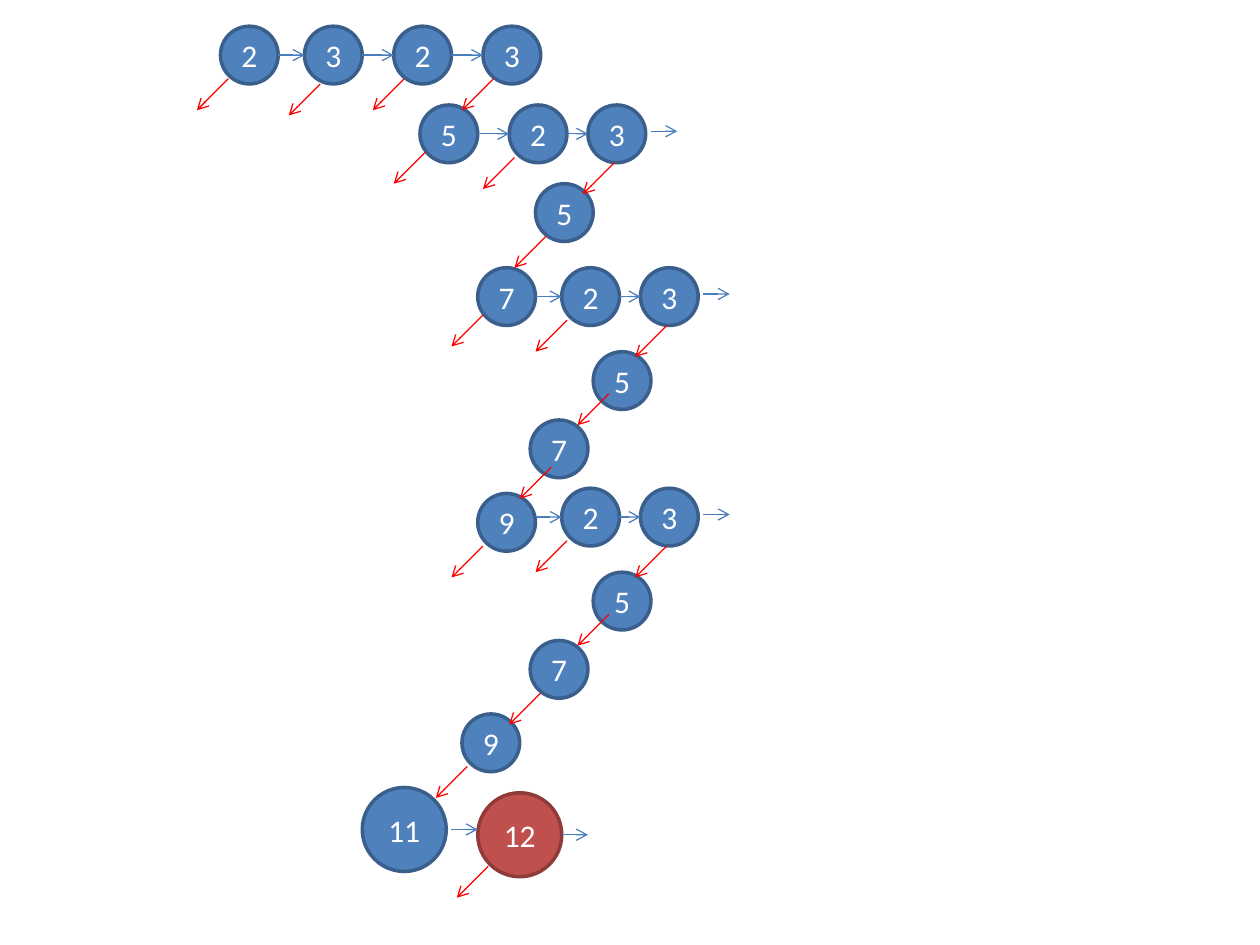
import pptx
import pptx.util
import pptx.dml.color
import pptx.enum.shapes
import pptx.enum.text
import pptx.oxml.ns
import lxml.etree

RGB = pptx.dml.color.RGBColor
BLUE = RGB(0x4F, 0x81, 0xBD)
NAVY = RGB(0x3A, 0x5F, 0x8C)
SKY = RGB(0x4B, 0x7E, 0xBC)
BRICK = RGB(0xC0, 0x50, 0x4D)
WINE = RGB(0x8E, 0x3B, 0x39)
RED = RGB(0xFF, 0, 0)
WHITE = RGB(0xFF, 0xFF, 0xFF)

COLS, ROWS = 240, 180
SMALL, LARGE = 11, 16
DROP = 6   # columns left and rows down of each red arrow
STUB = 5   # columns of an arrow that leads to no node

# Each chain: its nodes as (label, column, row, start of the red arrow
# from the node's corner), and whether an open arrow ends the chain.
CHAINS = [
    ([("2", 42, 5, (1.5, 10)), ("3", 58, 5, (3, 11)),
      ("2", 75, 5, (2, 10)), ("3", 92, 5, (2, 10))], False),
    ([("5", 80, 20, (1, 9)), ("2", 97, 20, (1, 10)),
      ("3", 112, 20, (5, 11))], True),
    ([("5", 102, 35, (2, 10))], False),
    ([("7", 91, 51, (1, 9)), ("2", 107, 51, (1, 10)),
      ("3", 122, 51, (5, 11))], True),
    ([("5", 113, 67, (3, 8))], False),
    ([("7", 101, 80, (4, 9))], False),
    ([("9", 91, 94, (1, 10)), ("2", 107, 93, (1, 10)),
      ("3", 122, 93, (5, 11))], True),
    ([("5", 113, 109, (3, 8))], False),
    ([("7", 101, 122, (2, 10))], False),
    ([("9", 88, 136, (1, 10))], False),
]


class Tree:
    """Holds the style and the current slide."""

    font, size = "Calibri", pptx.util.Pt(18)
    edge, thin = pptx.util.Pt(2), pptx.util.Pt(0.75)

    def __init__(self, deck):
        """Add a blank slide and measure its grid."""
        self.slide = deck.slides.add_slide(deck.slide_layouts[6])
        self.wide = deck.slide_width / COLS
        self.high = deck.slide_height / ROWS

    def place(self, col, row):
        """Turn a column and a row into slide lengths."""
        return round(col * self.wide), round(row * self.high)

    def node(self, label, col, row, size=SMALL, fill=BLUE, rim=NAVY):
        """Draw a labelled circle."""
        oval = self.slide.shapes.add_shape(
            pptx.enum.shapes.MSO_SHAPE.OVAL,
            *self.place(col, row), *self.place(size, size))
        oval.shadow.inherit = False
        oval.fill.solid()
        oval.fill.fore_color.rgb = fill
        oval.line.color.rgb = rim
        oval.line.width = self.edge
        frame = oval.text_frame
        frame.word_wrap = True
        frame.vertical_anchor = pptx.enum.text.MSO_ANCHOR.MIDDLE
        para = frame.paragraphs[0]
        para.alignment = pptx.enum.text.PP_ALIGN.CENTER
        run = para.add_run()
        run.text = label
        run.font.name, run.font.size = self.font, self.size
        run.font.color.rgb = WHITE

    def arrow(self, col, row, right, down, tint):
        """Draw an open arrow from a grid point by a step."""
        line = self.slide.shapes.add_connector(
            pptx.enum.shapes.MSO_CONNECTOR.STRAIGHT,
            *self.place(col, row), *self.place(col + right, row + down))
        line.line.color.rgb = tint
        line.line.width = self.thin
        name = pptx.oxml.ns.qn
        tail = lxml.etree.SubElement(line.line._get_or_add_ln(),
                                     name("a:tailEnd"))
        tail.set("type", "arrow")
        lxml.etree.SubElement(line._element.spPr, name("a:effectLst"))

    def drop(self, col, row):
        """Draw a red arrow down to the left."""
        self.arrow(col, row, -DROP, DROP, RED)

    def link(self, col, row, length=STUB):
        """Draw a blue arrow to the right."""
        self.arrow(col, row, length, 0, SKY)


def chain(tree, nodes, still):
    """Draw the arrows of one chain of nodes."""
    for label, col, row, (right, down) in nodes:
        tree.drop(col + right, row + down)
    for left, near in zip(nodes, nodes[1:]):
        start = left[1] + SMALL
        tree.link(start, near[2] + SMALL / 2, near[1] - start)
    if still:
        last = nodes[-1]
        tree.link(last[1] + SMALL + 1, last[2] + STUB)


def main():
    """Build the slide and save it."""
    deck = pptx.Presentation()
    deck.slide_width = pptx.util.Inches(10)
    deck.slide_height = pptx.util.Inches(7.5)
    tree = Tree(deck)
    for nodes, still in CHAINS:
        for label, col, row, start in nodes:
            tree.node(label, col, row)
    tree.node("11", 69, 150, LARGE)
    tree.node("12", 91, 151, LARGE, BRICK, WINE)
    for nodes, still in CHAINS:
        chain(tree, nodes, still)
    tree.link(86, 158)
    tree.link(107, 159)
    tree.drop(93, 165)
    deck.save("out.pptx")


main()
